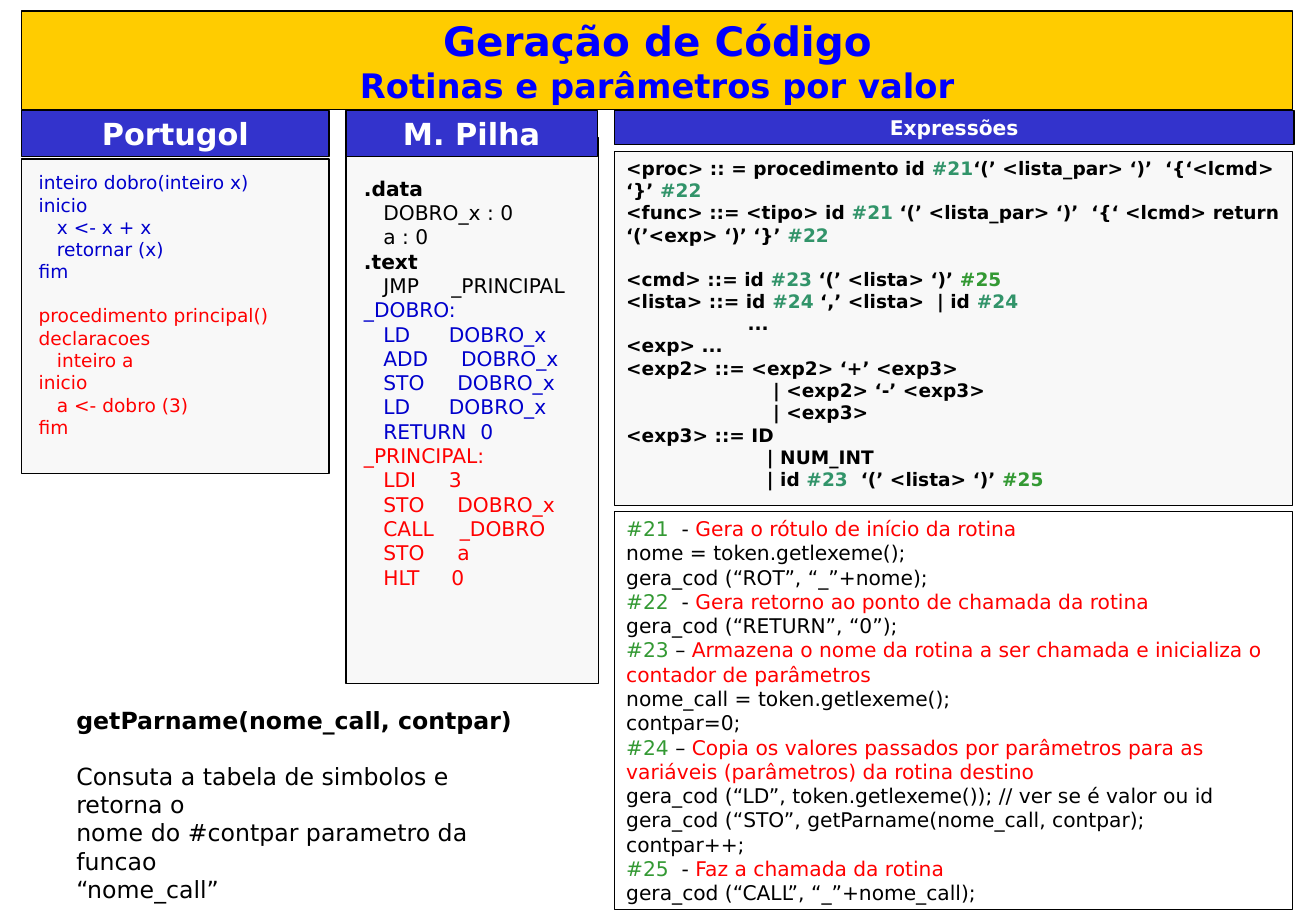
from dataclasses import dataclass

from lxml.etree import SubElement
from pptx import Presentation
from pptx.dml.color import RGBColor
from pptx.enum.shapes import MSO_SHAPE
from pptx.enum.text import MSO_ANCHOR, MSO_AUTO_SIZE, PP_ALIGN
from pptx.oxml.ns import qn
from pptx.util import Inches, Pt


@dataclass(frozen=True)
class Theme:
    font: str = "DejaVu Sans"
    banner: str = "FFCC00"
    title: str = "0000FF"
    header: str = "3333CC"
    panel: str = "F8F8F8"
    white: str = "FFFFFF"
    black: str = "000000"
    blue: str = "0000CC"
    red: str = "FF0000"
    teal: str = "32946A"
    green: str = "339933"
    title_size: float = 24
    subtitle_size: float = 20
    header_size: float = 18
    note_size: float = 14
    body_size: float = 12
    code_size: float = 11
    line_width: float = 0.75
    line_height: float = 1.164


T = Theme()
CODE_INDENT = 0.15
STACK_INDENT = 0.16

PORTUGOL = [
    (T.blue, ["inteiro dobro(inteiro x)", "inicio", "\tx <- x + x",
              "\tretornar (x)", "fim"]),
    (T.red, ["procedimento principal()", "declaracoes", "\tinteiro a",
             "inicio", "\ta <- dobro (3)", "fim"]),
]

# Operand position, in inches from the text edge, for each instruction
OPERAND_AT = {"JMP": 0.72, "LD": 0.7, "ADD": 0.8, "STO": 0.77,
              "RETURN": 0.96, "LDI": 0.7, "CALL": 0.79, "HLT": 0.72}
STACK_DATA = ["DOBRO_x : 0", "a : 0"]
STACK_CODE = [
    (".text", T.black, ["JMP _PRINCIPAL"]),
    ("_DOBRO:", T.blue, ["LD DOBRO_x", "ADD DOBRO_x", "STO DOBRO_x",
                         "LD DOBRO_x", "RETURN 0"]),
    ("_PRINCIPAL:", T.red, ["LDI 3", "STO DOBRO_x", "CALL _DOBRO",
                            "STO a", "HLT 0"]),
]

# Each grammar line has its own tab stop and a flag for a gap above it
GRAMMAR = [
    ("<proc> :: = procedimento id #21‘(’ <lista_par> ‘)’  ‘{‘<lcmd> ‘}’ #22", 1, False),
    ("<func> ::= <tipo> id #21 ‘(’ <lista_par> ‘)’  ‘{‘ <lcmd> return "
     "‘(’<exp> ‘)’ ‘}’ #22", 1, False),
    ("<cmd> ::= id #23 ‘(’ <lista> ‘)’ #25", 1, True),
    ("<lista> ::= id #24 ‘,’ <lista>  | id #24", 1, False),
    ("\t...", 1, False),
    ("<exp> ...", 1, False),
    ("<exp2> ::= <exp2> ‘+’ <exp3>", 1, False),
    ("\t| <exp2> ‘-’ <exp3>", 1.21, False),
    ("\t| <exp3>", 1.21, False),
    ("<exp3> ::= ID", 1, False),
    ("\t| NUM_INT", 1.16, False),
    ("\t| id #23  ‘(’ <lista> ‘)’ #25", 1.16, False),
]

ACTIONS = [
    ("#21", "  - ", "Gera o rótulo de início da rotina",
     ["nome = token.getlexeme();", "gera_cod (“ROT”, “_”+nome);"]),
    ("#22", "  - ", "Gera retorno ao ponto de chamada da rotina",
     ["gera_cod (“RETURN”, “0”);"]),
    ("#23", " – ", "Armazena o nome da rotina a ser chamada e inicializa o "
     "contador de parâmetros",
     ["nome_call = token.getlexeme();", "contpar=0;"]),
    ("#24", " – ", "Copia os valores passados por parâmetros para as "
     "variáveis (parâmetros) da rotina destino",
     ["gera_cod (“LD”, token.getlexeme()); // ver se é valor ou id",
      "gera_cod (“STO”, getParname(nome_call, contpar);", "contpar++;"]),
    ("#25", "  - ", "Faz a chamada da rotina",
     ["gera_cod (“CALL”, “_”+nome_call);"]),
]


def write(tf, *runs, size, color=T.black, bold=False, align=PP_ALIGN.LEFT,
          tabs=(), gap=False):
    """Add a paragraph; a run is a string or a (string, colour) pair.

    gap leaves one line of space above the paragraph.
    """
    p = tf.add_paragraph() if tf.text else tf.paragraphs[0]
    p.alignment = align
    p.space_before = Pt(round(size * T.line_height, 1) if gap else 0)
    if tabs:
        stops = SubElement(p._p.get_or_add_pPr(), qn("a:tabLst"))
        for pos in tabs:
            SubElement(stops, qn("a:tab"), pos=str(Inches(pos)), algn="l")
    for run in runs:
        text, run_color = (run, color) if isinstance(run, str) else run
        r = p.add_run()
        r.text = text
        r.font.name = T.font
        r.font.size = Pt(size)
        r.font.bold = bold
        r.font.color.rgb = RGBColor.from_string(run_color)


def set_frame(s, inset_y=0.04):
    tf = s.text_frame
    tf.word_wrap = True
    tf.auto_size = MSO_AUTO_SIZE.NONE
    tf.vertical_anchor = MSO_ANCHOR.TOP
    tf.margin_left = tf.margin_right = Inches(0.1)
    tf.margin_top = tf.margin_bottom = Inches(inset_y)
    return tf


def paint(s, fill):
    if fill:
        s.fill.solid()
        s.fill.fore_color.rgb = RGBColor.from_string(fill)
    else:
        s.fill.background()
    s.line.color.rgb = RGBColor.from_string(T.black)
    s.line.width = Pt(T.line_width)


def add_box(slide, box, fill=None):
    s = slide.shapes.add_shape(MSO_SHAPE.RECTANGLE, *map(Inches, box))
    s.shadow.inherit = False
    paint(s, fill)
    return set_frame(s)


def add_text(slide, box, inset_y=0.04):
    return set_frame(slide.shapes.add_textbox(*map(Inches, box)), inset_y)


def add_header(slide, text, box, size=T.header_size):
    write(add_box(slide, box, T.header), text, size=size, color=T.white,
          bold=True, align=PP_ALIGN.CENTER)


def add_title(slide):
    s = slide.shapes.title
    s.left, s.top, s.width, s.height = map(Inches, (0.18, 0.09, 10.47, 0.81))
    paint(s, T.banner)
    tf = set_frame(s)
    for text, size in [("Geração de Código", T.title_size),
                       ("Rotinas e parâmetros por valor", T.subtitle_size)]:
        write(tf, text, size=size, color=T.title, bold=True,
              align=PP_ALIGN.CENTER)


def add_stack_machine(slide):
    add_box(slide, (2.85, 1.13, 2.08, 4.5), T.panel)
    tf = add_text(slide, (2.9, 1.41, 2.16, 3.48))
    write(tf, ".data", size=T.body_size, bold=True)
    for line in STACK_DATA:
        write(tf, "\t" + line, size=T.body_size, tabs=[STACK_INDENT])
    for label, color, code in STACK_CODE:
        write(tf, label, size=T.body_size, color=color,
              bold=label.startswith("."))
        for line in code:
            name, operand = line.split()
            write(tf, f"\t{name}\t{operand}", size=T.body_size, color=color,
                  tabs=[STACK_INDENT, OPERAND_AT[name]])
    add_header(slide, "M. Pilha", (2.85, 0.91, 2.07, 0.38))


def add_portugol(slide):
    add_box(slide, (0.18, 1.31, 2.53, 2.59), T.panel)
    tf = add_text(slide, (0.22, 1.37, 2.71, 2.28))
    for i, (color, lines) in enumerate(PORTUGOL):
        for j, line in enumerate(lines):
            write(tf, line, size=T.code_size, color=color,
                  tabs=[CODE_INDENT], gap=i > 0 and j == 0)
    add_header(slide, "Portugol", (0.18, 0.91, 2.53, 0.38))


def grammar_runs(line):
    """Split a line so that each #nn action mark has its own colour."""
    first, *rest = line.split("#")
    runs = [first]
    for part in rest:
        mark, tail = part[:2], part[2:]
        runs.append(("#" + mark, T.green if mark == "25" else T.teal))
        if tail:
            runs.append(tail)
    return runs


def add_grammar(slide):
    add_box(slide, (5.06, 1.25, 5.59, 2.91), T.panel)
    tf = add_text(slide, (5.06, 1.25, 5.6, 2.65))
    for line, stop, gap in GRAMMAR:
        write(tf, *grammar_runs(line), size=T.code_size, bold=True,
              tabs=[stop], gap=gap)
    add_header(slide, "Expressões", (5.06, 0.91, 5.6, 0.28), T.body_size)


def add_actions(slide):
    tf = add_box(slide, (5.06, 4.21, 5.59, 3.28))
    for mark, dash, purpose, code in ACTIONS:
        write(tf, (mark, T.green), dash, (purpose, T.red), size=T.body_size)
        for line in code:
            write(tf, line, size=T.body_size)


def add_note(slide):
    tf = add_text(slide, (0.53, 5.76, 4.01, 1.7), 0.05)
    write(tf, "getParname(nome_call, contpar)", size=T.note_size, bold=True)
    write(tf, "Consuta a tabela de simbolos e retorna o", size=T.note_size, gap=True)
    for line in ["nome do #contpar parametro da funcao", "“nome_call”"]:
        write(tf, line, size=T.note_size)


def main():
    prs = Presentation()
    prs.slide_width, prs.slide_height = Inches(10.84), Inches(7.5)
    slide = prs.slides.add_slide(prs.slide_layouts[5])
    for add_part in (add_title, add_stack_machine, add_portugol, add_grammar,
                     add_actions, add_note):
        add_part(slide)
    prs.save("out.pptx")


if __name__ == "__main__":
    main()
